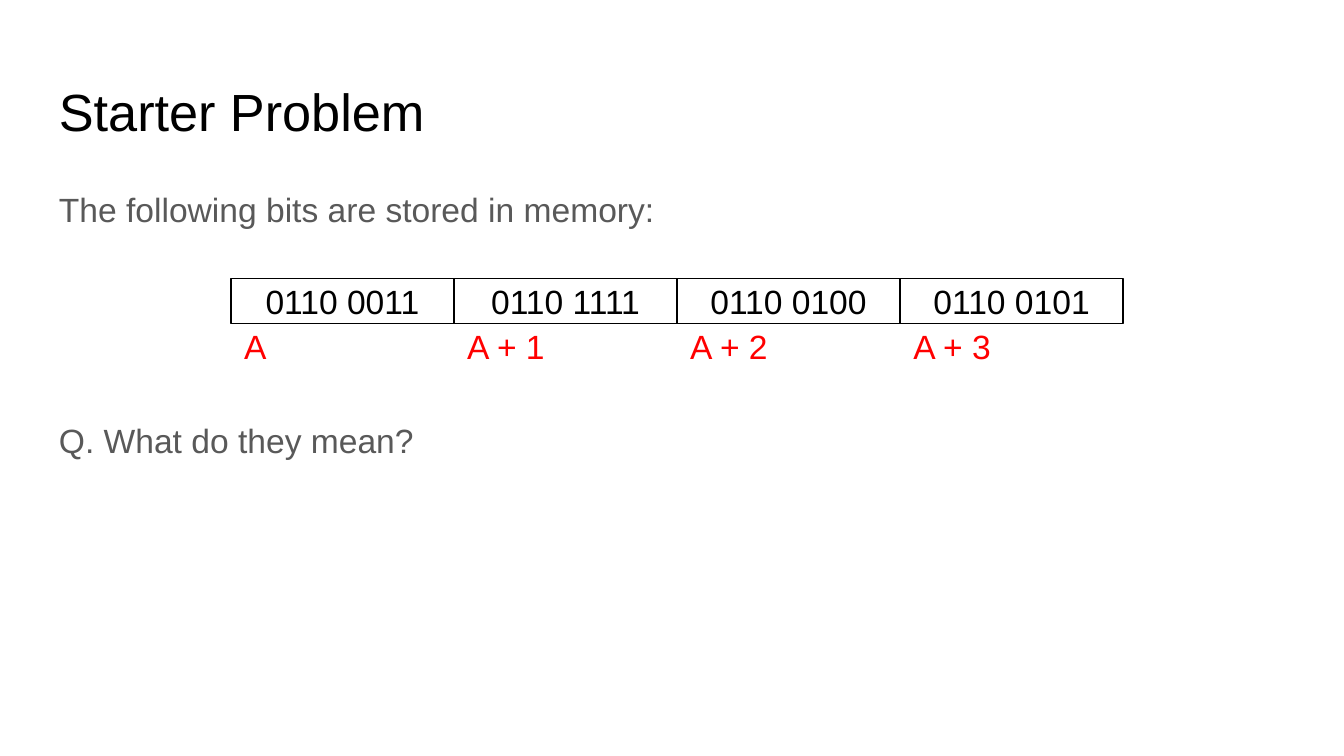
from pptx import Presentation
from pptx.dml.color import RGBColor
from pptx.enum.shapes import MSO_SHAPE
from pptx.enum.text import MSO_ANCHOR, PP_ALIGN
from pptx.util import Pt

COLORS = {"black": "000000", "body": "595959", "address": "FF0000"}
BYTES = ["0110 0011", "0110 1111", "0110 0100", "0110 0101"]
ADDRESSES = ["A", "A + 1", "A + 2", "A + 3"]
MARGIN, CONTENT_W = 24.5, 671
CELL_X, CELL_Y, CELL_W, CELL_H = 123.7, 149.3, 119.5, 24


def write(s, lines, size, color, anchor=MSO_ANCHOR.MIDDLE, align=PP_ALIGN.LEFT):
    """Fill a shape with one paragraph per line and return its text frame."""
    tf = s.text_frame
    tf.word_wrap = True
    tf.vertical_anchor = anchor
    tf.margin_left = tf.margin_right = tf.margin_top = tf.margin_bottom = Pt(7.2)
    for i, line in enumerate(lines):
        p = tf.add_paragraph() if i else tf.paragraphs[0]
        p.text = line
        p.alignment = align
        p.font.name = "Arial"
        p.font.size = Pt(size)
        p.font.color.rgb = RGBColor.from_string(COLORS[color])
    return tf


prs = Presentation()
prs.slide_width, prs.slide_height = Pt(720), Pt(405)
slide = prs.slides.add_slide(prs.slide_layouts[6])
shapes = slide.shapes

title = shapes.add_textbox(Pt(MARGIN), Pt(35), Pt(CONTENT_W), Pt(45))
write(title, ["Starter Problem"], 28, "black", MSO_ANCHOR.TOP)

body = shapes.add_textbox(Pt(MARGIN), Pt(90.7), Pt(CONTENT_W), Pt(269))
tf = write(body, ["The following bits are stored in memory:", "Q. What do they mean?"],
           18, "body", MSO_ANCHOR.TOP)
for p in tf.paragraphs:
    p.line_spacing = 1.15
tf.paragraphs[0].space_after = Pt(99)

for i, (bits, address) in enumerate(zip(BYTES, ADDRESSES)):
    x = Pt(CELL_X + i * CELL_W)
    s = shapes.add_shape(MSO_SHAPE.RECTANGLE, x, Pt(CELL_Y), Pt(CELL_W), Pt(CELL_H))
    s.shadow.inherit = False
    s.fill.background()
    s.line.color.rgb = RGBColor.from_string(COLORS["black"])
    s.line.width = Pt(0.75)
    write(s, [bits], 18, "black", align=PP_ALIGN.CENTER)

    label = shapes.add_textbox(x, Pt(CELL_Y + CELL_H), Pt(CELL_W), Pt(CELL_H))
    write(label, [address], 18, "address")

prs.save("out.pptx")
